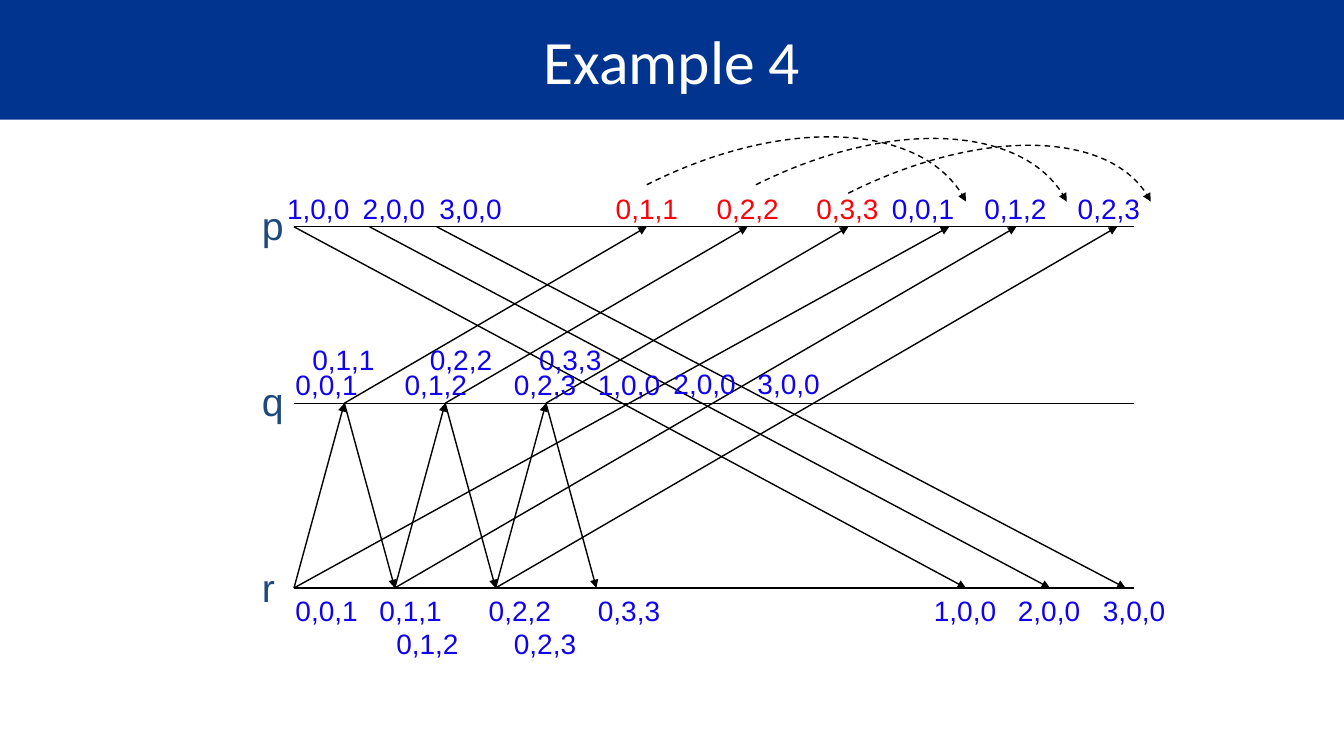
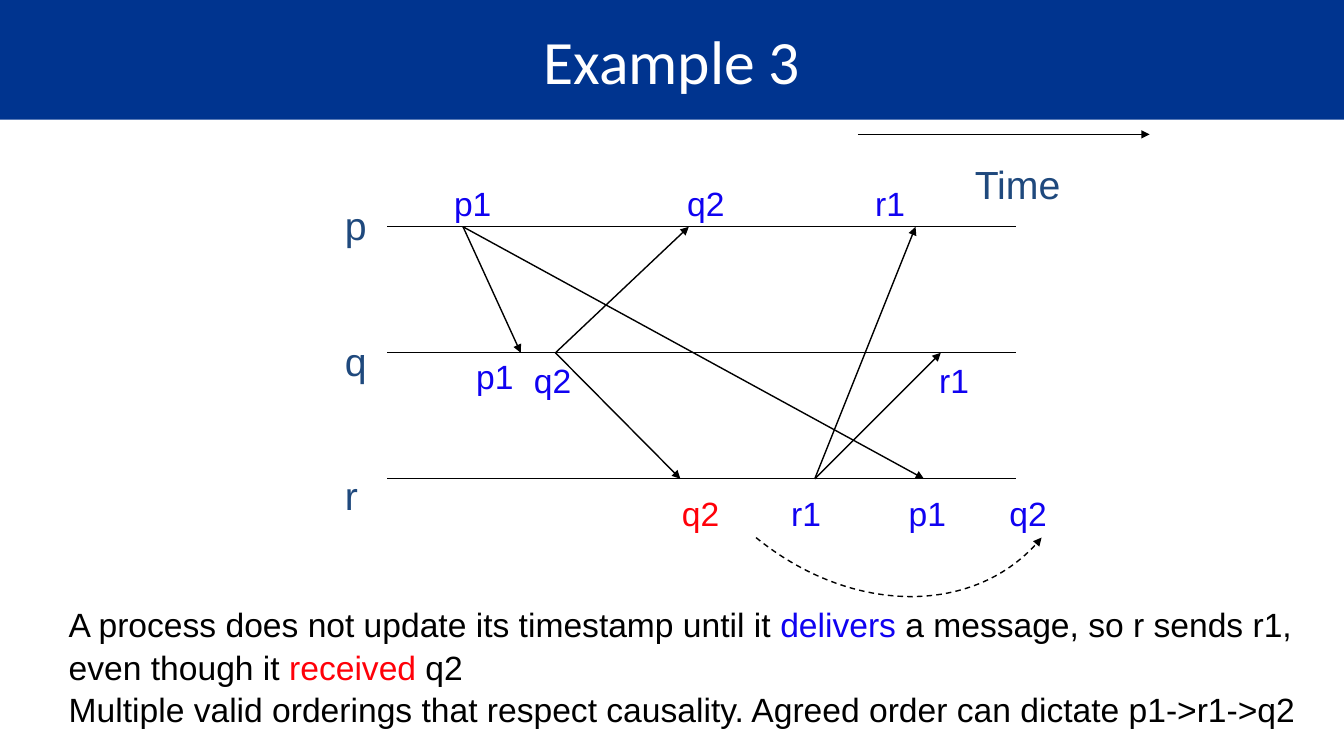
from pptx import Presentation
from pptx.dml.color import RGBColor as Rgb
from pptx.enum.dml import MSO_LINE as Dash
from pptx.enum.shapes import MSO_CONNECTOR as Conn, MSO_SHAPE as Shape
from pptx.enum.text import MSO_ANCHOR as Anchor, PP_ALIGN as Align
from pptx.oxml.ns import qn
from pptx.util import Pt
from lxml.etree import SubElement as sub

PX = 9525  # EMU in one px
WIDE, HIGH, BAND = 1280, 720, 114
COLS = {"band": "00348F", "white": "FFFFFF", "ink": "000000",
        "name": "1F497D", "blue": "1002F1", "red": "FF0109"}
# Glyph widths in em, used to fit a label box to its text
GLYPHS = {"r": 0.33, ",": 0.28, "T": 0.61, "i": 0.22, "m": 0.83}


def emu(*vals):
    return [round(val * PX) for val in vals]


def tint(key):
    return Rgb.from_string(COLS[key])


# Text
def add_run(para, text, size, key, font="Arial"):
    run = para.add_run()
    run.text = text
    run.font.size = Pt(size)
    run.font.name = font
    run.font.color.rgb = tint(key)


def label(slide, x, y, text, size, key):
    wide = 20 + sum(GLYPHS.get(char, 0.56) for char in text) * size * 4 / 3
    frame = slide.shapes.add_textbox(*emu(x, y, wide, size * 1.6 + 10)).text_frame
    frame.word_wrap = False
    para = frame.paragraphs[0]
    para.line_spacing = 1.05
    add_run(para, text, size, key)


def title(slide, text):
    band = slide.shapes.add_shape(Shape.RECTANGLE, *emu(0, 0, WIDE, BAND))
    band.shadow.inherit = False
    band.fill.solid()
    band.fill.fore_color.rgb = tint("band")
    band.line.fill.background()
    band.text_frame.vertical_anchor = Anchor.MIDDLE
    para = band.text_frame.paragraphs[0]
    para.alignment = Align.CENTER
    add_run(para, text, 44, "white", "Calibri")


def body(slide, box, paras):
    frame = slide.shapes.add_textbox(*emu(*box)).text_frame
    frame.word_wrap = True
    for num, runs in enumerate(paras):
        para = frame.add_paragraph() if num else frame.paragraphs[0]
        para.line_spacing = 1.05
        for text, key in runs:
            add_run(para, text, 24, key)


# Lines
def stroke(shape, head):
    shape.line.width = Pt(1)
    shape.line.color.rgb = tint("ink")
    if head:
        sub(shape.line._get_or_add_ln(), qn("a:tailEnd"), type="triangle")


def line(slide, x1, y1, x2, y2, head=True):
    link = slide.shapes.add_connector(Conn.STRAIGHT, *emu(x1, y1, x2, y2))
    stroke(link, head)
    sub(link._element.spPr, qn("a:effectLst"))


def arc(slide, points):
    start, *rest = points
    build = slide.shapes.build_freeform(*start, scale=PX)
    build.add_line_segments(rest, close=False)
    shape = build.convert_to_shape()
    shape.shadow.inherit = False
    shape.fill.background()
    shape.line.dash_style = Dash.DASH
    stroke(shape, True)
    # Turn the three segments into one cubic curve
    geom = shape._element.find(".//" + qn("a:path"))
    geom.set("fill", "none")
    curve = sub(geom, qn("a:cubicBezTo"))
    for seg in geom.findall(qn("a:lnTo")):
        curve.append(seg[0])
        geom.remove(seg)


# Process timelines with messages, labels and delayed deliveries
def diagram(slide, left, top, wide, data):
    rows = data["rows"]
    for high in rows.values():
        line(slide, left, top + high, left + wide, top + high, False)
    for name, high in zip(rows, data["names"]):
        label(slide, left + data["indent"], top + high, name, 28, "name")
    for src, dest, pairs in data["sends"]:
        for x1, x2 in pairs:
            line(slide, left + x1, top + rows[src], left + x2, top + rows[dest])
    for high, key, marks in data["marks"]:
        for x, text in marks:
            label(slide, left + x, top + high, text, data["size"], key)
    for points in data["arcs"]:
        arc(slide, [(left + x, top + y) for x, y in points])


def time_arrow(slide, left, top, wide):
    line(slide, left, top, left + wide, top)
    label(slide, left + 102, top + 18, "Time", 28, "name")


VECTORS = {
    "rows": {"p": 0, "q": 168, "r": 344},
    "names": (-31, 136, 314), "indent": -40, "size": 20,
    "sends": [
        ("p", "r", [(0, 640), (72, 720), (136, 792)]),
        ("q", "p", [(48, 336), (144, 432), (240, 528)]),
        ("q", "r", [(48, 96), (144, 192), (240, 288)]),
        ("r", "q", [(0, 48), (96, 144), (192, 240)]),
        ("r", "p", [(0, 624), (96, 688), (192, 784)]),
    ],
    "marks": [
        (-40, "blue", [(-16, "1,0,0"), (56, "2,0,0"), (129, "3,0,0"),
                       (560, "0,0,1"), (648, "0,1,2"), (737, "0,2,3")]),
        (-40, "red", [(297, "0,1,1"), (393, "0,2,2"), (488, "0,3,3")]),
        (104, "blue", [(8, "0,1,1"), (120, "0,2,2"), (224, "0,3,3")]),
        (128, "blue", [(-8, "0,0,1"), (96, "0,1,2"), (200, "0,2,3"), (280, "1,0,0")]),
        (127, "blue", [(352, "2,0,0"), (432, "3,0,0")]),
        (343, "blue", [(-8, "0,0,1"), (72, "0,1,1"), (176, "0,2,2"), (280, "0,3,3"),
                       (600, "1,0,0"), (680, "2,0,0"), (761, "3,0,0")]),
        (374, "blue", [(88, "0,1,2"), (200, "0,2,3")]),
    ],
    "arcs": [
        [(336, -40), (467, -106), (603, -98), (640, -24)],
        [(440, -40), (568, -104), (700, -96), (736, -24)],
        [(528, -32), (654, -95), (783, -91), (816, -24)],
    ],
}

ORDERS = {
    "rows": {"p": 0, "q": 120, "r": 240},
    "names": (-31, 98, 226), "indent": -50, "size": 24,
    "sends": [
        ("p", "q", [(72, 127)]), ("p", "r", [(72, 511)]),
        ("q", "p", [(160, 287)]), ("q", "r", [(160, 279)]),
        ("r", "p", [(407, 503)]), ("r", "q", [(407, 527)]),
    ],
    "marks": [
        (-48, "blue", [(54, "p1"), (276, "q2"), (455, "r1")]),
        (116, "blue", [(75, "p1")]),
        (120, "blue", [(130, "q2"), (516, "r1")]),
        (247, "red", [(271, "q2")]),
        (247, "blue", [(375, "r1"), (487, "p1"), (583, "q2")]),
    ],
    "arcs": [[(351, 296), (442, 370), (563, 370), (623, 296)]],
}

NOTES = [
    [("A process does not update its timestamp until it ", "ink"),
     ("delivers", "blue"),
     (" a message, so r sends r1, even though it ", "ink"),
     ("received", "red"), (" q2", "ink")],
    [("Multiple valid orderings that respect causality. "
      "Agreed order can dictate p1->r1->q2", "ink")],
]


def main():
    deck = Presentation()
    deck.slide_width, deck.slide_height = emu(WIDE, HIGH)
    blank = deck.slide_layouts[6]

    # Vector timestamps
    slide = deck.slides.add_slide(blank)
    diagram(slide, 280, 216, 800, VECTORS)
    title(slide, "Example 4")

    # Message orders
    slide = deck.slides.add_slide(blank)
    diagram(slide, 369, 216, 599, ORDERS)
    time_arrow(slide, 817, 128, 278)
    body(slide, (56, 569, 1224, 126), NOTES)
    title(slide, "Example 3")

    deck.save("out.pptx")


if __name__ == "__main__":
    main()
